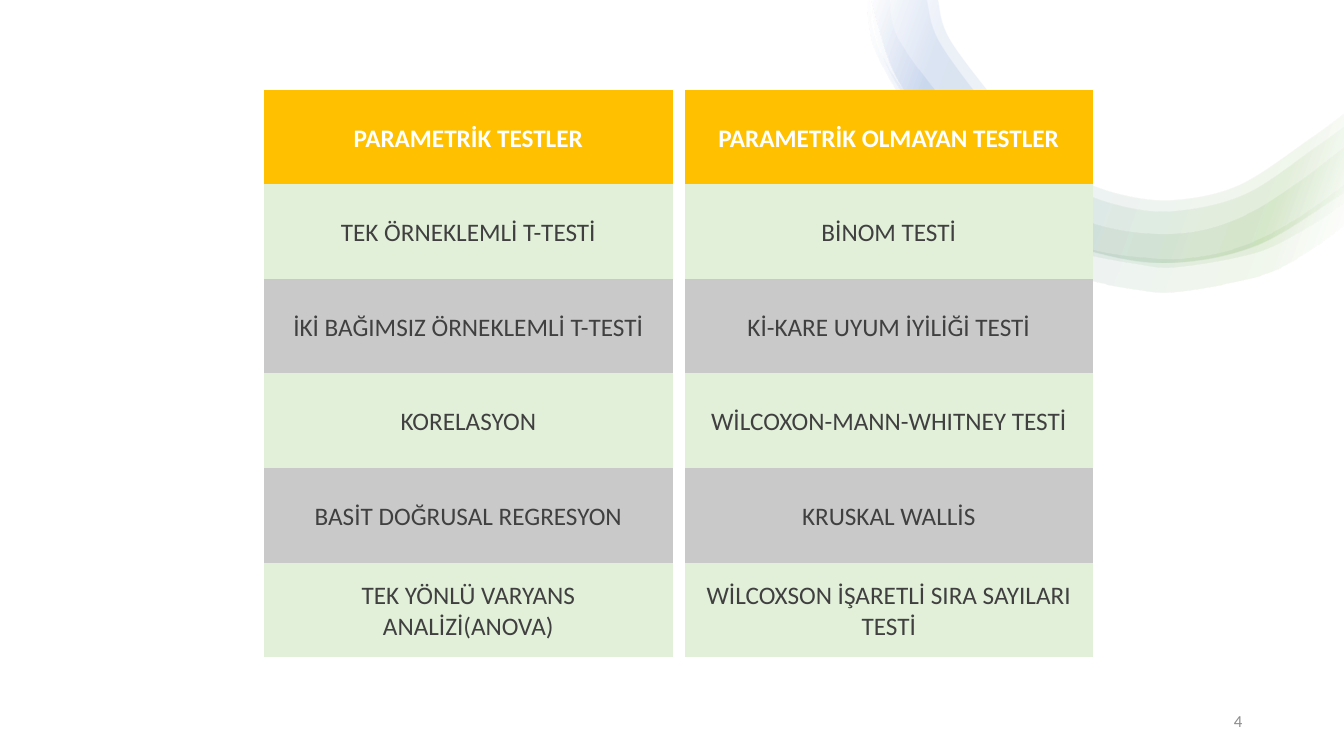
from dataclasses import dataclass

from lxml.etree import SubElement
from pptx import Presentation
from pptx.dml.color import RGBColor
from pptx.enum.shapes import MSO_SHAPE
from pptx.enum.text import MSO_ANCHOR, PP_ALIGN
from pptx.oxml.ns import qn
from pptx.util import Inches, Pt

Point = tuple[float, float]


@dataclass(frozen=True)
class Theme:
    font: str = "Calibri"
    body: int = 18
    small: int = 12
    white: str = "FFFFFF"
    ink: str = "404040"
    grey: str = "8C8C8C"
    head: str = "FFC000"
    bands: tuple[str, str] = ("E2F0D9", "C9C9C9")
    stops: tuple[tuple[int, str], ...] = (
        (2, "FFFFFF"), (16, "70AD47"), (85, "4472C4"), (100, "FFFFFF"))
    alpha: int = 10
    angle: int = 160


@dataclass(frozen=True)
class Column:
    left: float
    title: str
    tests: tuple[str, ...]


@dataclass(frozen=True)
class Ribbon:
    upper: tuple[Point, ...]
    lower: tuple[Point, ...]


THEME = Theme()
TOP, WIDTH, HEIGHT = Inches(0.89), Inches(4.05), Inches(5.63)

COLUMNS = (
    Column(2.62, "PARAMETRİK TESTLER", (
        "TEK ÖRNEKLEMLİ T-TESTİ", "İKİ BAĞIMSIZ ÖRNEKLEMLİ T-TESTİ",
        "KORELASYON", "BASİT DOĞRUSAL REGRESYON",
        "TEK YÖNLÜ VARYANS ANALİZİ(ANOVA)")),
    Column(6.79, "PARAMETRİK OLMAYAN TESTLER", (
        "BİNOM TESTİ", "Kİ-KARE UYUM İYİLİĞİ TESTİ",
        "WİLCOXON-MANN-WHITNEY TESTİ", "KRUSKAL WALLİS",
        "WİLCOXSON İŞARETLİ SIRA SAYILARI TESTİ")),
)

BASE = ((8.65, 0), (8.89, 0.75), (9.34, 1.35), (9.78, 1.87), (10.3, 2.26),
        (10.91, 2.51), (11.64, 2.6), (12.48, 2.42), (13.33, 1.9))

RIBBONS = (
    Ribbon(
        ((8.64, 0), (8.66, 0.27), (8.75, 0.54), (8.97, 0.9), (9.34, 1.35),
         (9.81, 1.89), (10.25, 2.22), (10.76, 2.45), (11.3, 2.55),
         (11.86, 2.55), (12.39, 2.41), (12.88, 2.15), (13.33, 1.83)),
        ((8.6, 0), (8.63, 0.28), (8.71, 0.56), (8.99, 1.06), (9.31, 1.54),
         (9.65, 2.02), (10.09, 2.44), (10.65, 2.73), (11.27, 2.87),
         (11.7, 2.89), (12.53, 2.72), (13, 2.47), (13.33, 2.23))),
    Ribbon(
        ((8.83, 0), (8.85, 0.2), (8.94, 0.43), (9.24, 0.85), (9.6, 1.27),
         (9.96, 1.64), (10.35, 1.96), (10.8, 2.2), (11.31, 2.31),
         (11.83, 2.3), (12.31, 2.15), (12.75, 1.89), (13.33, 1.46)),
        ((8.65, 0), (8.7, 0.38), (8.86, 0.77), (9.16, 1.23), (9.47, 1.69),
         (9.8, 2.03), (10.13, 2.27), (10.69, 2.5), (11.27, 2.62),
         (11.68, 2.65), (12.47, 2.5), (13, 2.23), (13.33, 2.01))),
    Ribbon(
        ((9.2, 0), (9.32, 0.41), (9.79, 1.06), (10.18, 1.52),
         (10.61, 1.84), (11.09, 2.03), (11.64, 2.09), (12.35, 1.92),
         (13.05, 1.45), (13.33, 1.25)), BASE),
    Ribbon(
        ((9.31, 0), (9.42, 0.38), (9.88, 1), (10.25, 1.45),
         (10.64, 1.74), (11.1, 1.92), (11.64, 1.98), (12.29, 1.83),
         (12.99, 1.37), (13.33, 1.12)), BASE),
)


def curves(knots: tuple[Point, ...]) -> list[tuple[Point, Point, Point]]:
    ends = (knots[0], *knots, knots[-1])
    return [((b[0] + (c[0] - a[0]) / 6, b[1] + (c[1] - a[1]) / 6),
             (c[0] - (d[0] - b[0]) / 6, c[1] - (d[1] - b[1]) / 6), c)
            for a, b, c, d in zip(ends, ends[1:], ends[2:], ends[3:])]


def bend(shape, ribbon: Ribbon) -> None:
    lines = list(shape.element.iter(qn("a:lnTo")))
    count = len(ribbon.upper) - 1
    spans = curves(ribbon.upper) + curves(ribbon.lower[::-1])
    for line, span in zip(lines[:count] + lines[count + 1:], spans):
        line.tag = qn("a:cubicBezTo")
        for point in list(line):
            line.remove(point)
        for x, y in span:
            SubElement(line, qn("a:pt"), x=str(Inches(x) - shape.left),
                       y=str(Inches(y) - shape.top))


def shade(shape) -> None:
    shape.fill.gradient()
    shape.fill.gradient_angle = THEME.angle
    stops = shape.element.spPr.find(qn("a:gradFill")).find(qn("a:gsLst"))
    for stop in list(stops):
        stops.remove(stop)
    for place, color in THEME.stops:
        stop = SubElement(stops, qn("a:gs"), pos=str(place * 1000))
        tint = SubElement(stop, qn("a:srgbClr"), val=color)
        SubElement(tint, qn("a:alpha"), val=str(THEME.alpha * 1000))


def draw_ribbon(slide, ribbon: Ribbon) -> None:
    edge = ribbon.upper + ribbon.lower[::-1]
    first, *rest = [(Inches(x), Inches(y)) for x, y in edge]
    pen = slide.shapes.build_freeform(*first)
    pen.add_line_segments(rest, close=True)
    shape = pen.convert_to_shape()
    shape.shadow.inherit = False
    shape.line.fill.background()
    bend(shape, ribbon)
    shade(shape)


def add_box(slide, kind: MSO_SHAPE, left: int, top: int, width: int,
            height: int, fill: str):
    box = slide.shapes.add_shape(kind, left, top, width, height)
    box.shadow.inherit = False
    box.line.fill.background()
    box.fill.solid()
    box.fill.fore_color.rgb = RGBColor.from_string(fill)
    return box


def write(shape, text: str, size: int, color: str, align: PP_ALIGN,
          bold: bool = False) -> None:
    frame = shape.text_frame
    frame.word_wrap = True
    frame.vertical_anchor = MSO_ANCHOR.MIDDLE
    line = frame.paragraphs[0]
    line.text = text
    line.alignment = align
    line.font.name = THEME.font
    line.font.size = Pt(size)
    line.font.bold = bold
    line.font.color.rgb = RGBColor.from_string(color)


def draw_column(slide, column: Column) -> None:
    labels = (column.title, *column.tests)
    pitch = HEIGHT // len(labels)
    for row, label in enumerate(labels):
        head = row == 0
        fill = THEME.head if head else THEME.bands[(row - 1) % 2]
        box = add_box(slide, MSO_SHAPE.FLOWCHART_PROCESS,
                      Inches(column.left), TOP + row * pitch,
                      WIDTH, pitch, fill)
        write(box, label, THEME.body, THEME.white if head else THEME.ink,
              PP_ALIGN.CENTER, head)


deck = Presentation()
deck.slide_width, deck.slide_height = Inches(13.33), Inches(7.5)
slide = deck.slides.add_slide(deck.slide_layouts[6])
add_box(slide, MSO_SHAPE.RECTANGLE, 0, 0, deck.slide_width,
        deck.slide_height, THEME.white)
for ribbon in RIBBONS:
    draw_ribbon(slide, ribbon)
for column in COLUMNS:
    draw_column(slide, column)
number = slide.shapes.add_textbox(
    Inches(9.42), Inches(6.95), Inches(3), Inches(0.4))
write(number, "4", THEME.small, THEME.grey, PP_ALIGN.RIGHT)
deck.save("out.pptx")
